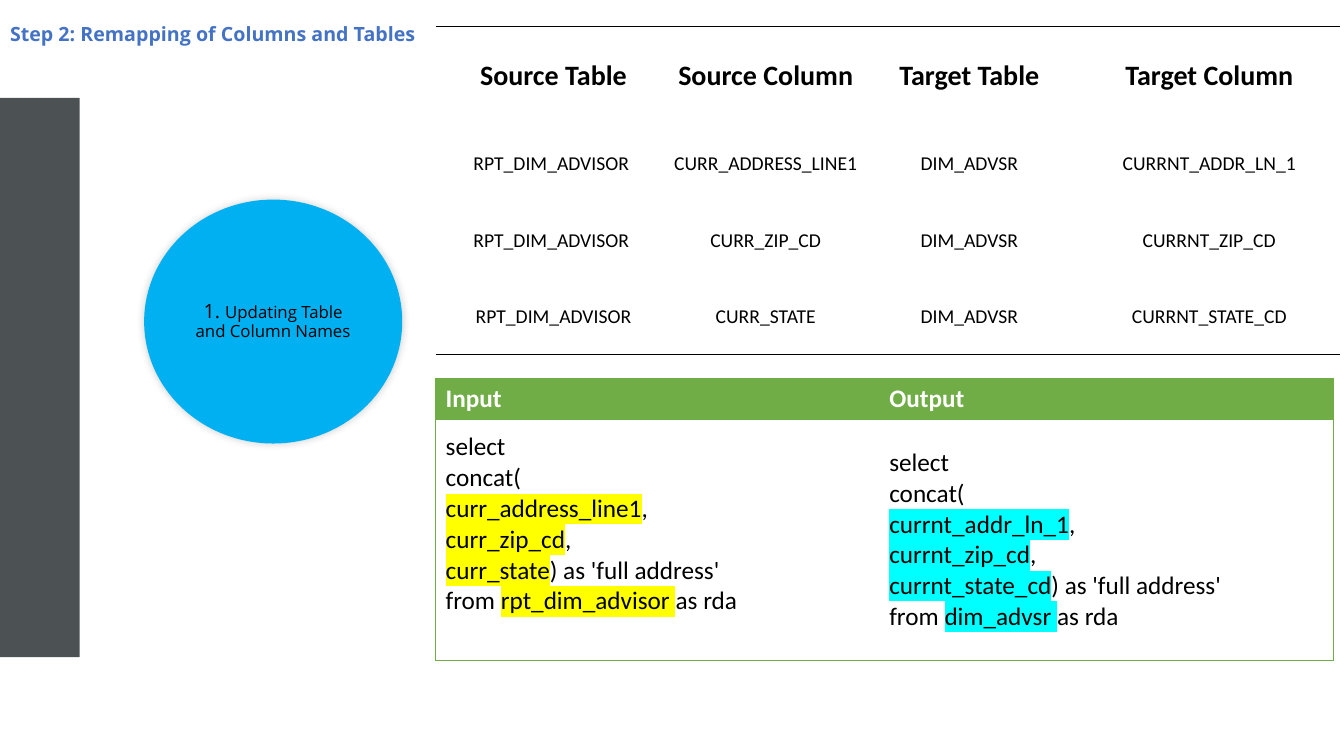
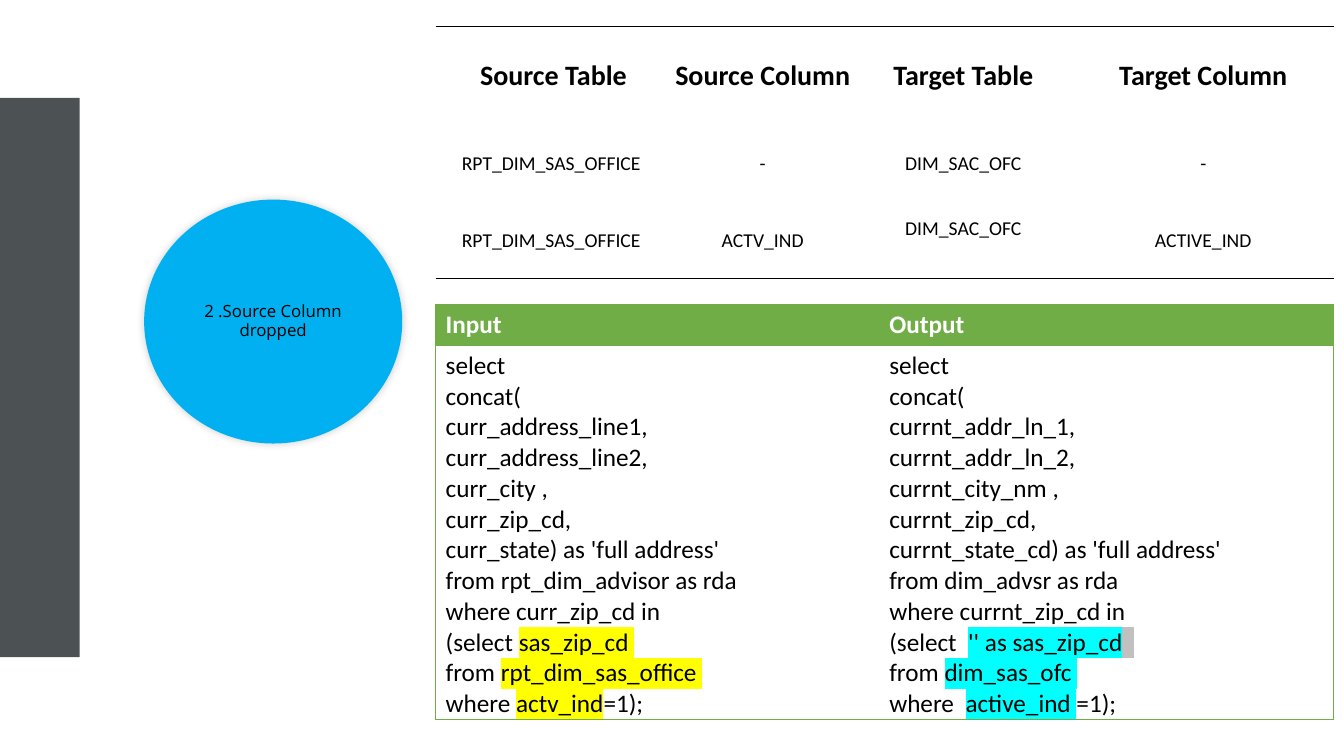
from dataclasses import dataclass, field
from typing import Any, Optional, Union

from lxml.etree import SubElement
from pptx import Presentation
from pptx.dml.color import RGBColor
from pptx.enum.shapes import MSO_SHAPE
from pptx.enum.text import MSO_ANCHOR, MSO_AUTO_SIZE, PP_ALIGN
from pptx.oxml.ns import qn
from pptx.util import Emu, Pt

# Shared look
EMU_PER_PX = 9144  # 100 px to the inch
SLATE, SKY, GREEN, BLUE = "4C5254", "00B0F0", "70AD47", "4472C4"
BLACK, WHITE = "000000", "FFFFFF"
YELLOW, CYAN, SILVER = "FFFF00", "00FFFF", "C0C0C0"

TITLE_FONT = {"name": "Open Sans", "size": Pt(14), "bold": True}
STEP_FONT = {"name": "Open Sans", "size": Pt(12), "bold": False}
MAPPING_HEAD_FONT = {"name": "Calibri", "size": Pt(20), "bold": True}
MAPPING_FONT = {"name": "Calibri", "size": Pt(14), "bold": False}
QUERY_HEAD_FONT = {"name": "Calibri", "size": Pt(18), "bold": True}
QUERY_FONT = {"name": "Calibri", "size": Pt(18), "bold": False}

TABLE_LEFT = 432
MAPPING_TOP = 26
MAPPING_HEADERS = ["Source Table", "Source Column", "Target Table", "Target Column"]
MAPPING_HEAD_HEIGHT, MAPPING_ROW_HEIGHT = 98, 76
QUERY_COLUMNS = [440, 450]
QUERY_HEAD_HEIGHT = 40


@dataclass
class Span:
    text: str
    highlight: Optional[str] = None
    size: Optional[int] = None


Line = list[Union[str, Span]]


@dataclass
class Cell:
    lines: list[Line]
    bottom: int = 5


@dataclass
class Border:
    color: str
    width: float


@dataclass
class Page:
    step: Line
    mapping_columns: list[int]
    mapping: list[list[Union[str, Cell]]]
    query_top: int
    query_height: int
    queries: list[Cell] = field(default_factory=list)
    title: Optional[str] = None


def px(length: int) -> Emu:
    return Emu(length * EMU_PER_PX)


def rgb(color: str) -> RGBColor:
    return RGBColor.from_string(color)


def apply(target: Any, values: dict[str, Any]) -> None:
    for name, value in values.items():
        setattr(target, name, value)


# Text
def write_line(para: Any, line: Line, font: dict[str, Any], color: str) -> None:
    for item in line:
        span = item if isinstance(item, Span) else Span(item)
        run = para.add_run()
        run.text = span.text
        apply(run.font, font)
        run.font.color.rgb = rgb(color)
        if span.size:
            run.font.size = Pt(span.size)
        if span.highlight:
            properties = run.font._element
            highlight = SubElement(properties, qn("a:highlight"))
            SubElement(highlight, qn("a:srgbClr"), val=span.highlight)
            properties.find(qn("a:solidFill")).addnext(highlight)


def write_lines(frame: Any, lines: list[Line], font: dict[str, Any], color: str,
                align: PP_ALIGN) -> None:
    for index, line in enumerate(lines):
        para = frame.add_paragraph() if index else frame.paragraphs[0]
        para.alignment = align
        write_line(para, line, font, color)


# Shapes
def add_shape(slide: Any, kind: MSO_SHAPE, box: tuple[int, int, int, int],
              color: str) -> Any:
    shape = slide.shapes.add_shape(kind, *map(px, box))
    shape.shadow.inherit = False
    shape.fill.solid()
    shape.fill.fore_color.rgb = rgb(color)
    shape.line.fill.background()
    return shape


def add_step_circle(slide: Any, label: Line) -> None:
    circle = add_shape(slide, MSO_SHAPE.OVAL, (143, 198, 256, 242), SKY)
    effects = circle._element.spPr.find(qn("a:effectLst"))
    shadow = SubElement(effects, qn("a:outerShdw"), blurRad=str(Pt(6)), dist="0",
                        dir="13500000", rotWithShape="0")
    shade = SubElement(shadow, qn("a:srgbClr"), val=BLACK)
    SubElement(shade, qn("a:alpha"), val="20000")
    frame = circle.text_frame
    apply(frame, {"word_wrap": True, "vertical_anchor": MSO_ANCHOR.MIDDLE})
    write_lines(frame, [label], STEP_FONT, BLACK, PP_ALIGN.CENTER)
    apply(frame.paragraphs[0], {"line_spacing": 0.9, "space_after": Pt(4.7)})


# Tables
def add_table(slide: Any, top: int, columns: list[int], rows: list[int]) -> Any:
    frame = slide.shapes.add_table(len(rows), len(columns), px(TABLE_LEFT), px(top),
                                   px(sum(columns)), px(sum(rows)))
    table = frame.table
    apply(table, {"first_row": False, "horz_banding": False})
    for column, width in zip(table.columns, columns):
        column.width = px(width)
    for row, height in zip(table.rows, rows):
        row.height = px(height)
    return table


def format_cell(cell: Any, borders: dict[str, Border], margins: dict[str, int],
                fill: Optional[str] = None) -> None:
    cell.vertical_anchor = MSO_ANCHOR.MIDDLE
    apply(cell, {f"margin_{side}": px(size) for side, size in margins.items()})
    properties = cell._tc.get_or_add_tcPr()
    for side in "LRTB":
        border = borders.get(side)
        line = SubElement(properties, qn(f"a:ln{side}"))
        if border:
            line.set("w", str(Pt(border.width)))
            paint = SubElement(line, qn("a:solidFill"))
            SubElement(paint, qn("a:srgbClr"), val=border.color)
        else:
            SubElement(line, qn("a:noFill"))
    if fill:
        cell.fill.solid()
        cell.fill.fore_color.rgb = rgb(fill)
    else:
        cell.fill.background()


def add_mapping_table(slide: Any, page: Page) -> None:
    rows = [MAPPING_HEADERS, *page.mapping]
    heights = [MAPPING_HEAD_HEIGHT] + [MAPPING_ROW_HEIGHT] * len(page.mapping)
    table = add_table(slide, MAPPING_TOP, page.mapping_columns, heights)
    rule = Border(BLACK, 1)
    for row_index, row in enumerate(rows):
        borders = {}
        if row_index == 0:
            borders["T"] = rule
        if row_index == len(rows) - 1:
            borders["B"] = rule
        font = MAPPING_FONT if row_index else MAPPING_HEAD_FONT
        for column_index, value in enumerate(row):
            content = value if isinstance(value, Cell) else Cell([[value]], bottom=0)
            cell = table.cell(row_index, column_index)
            margins = {"left": 1, "top": 1, "right": 1, "bottom": content.bottom}
            format_cell(cell, borders, margins)
            write_lines(cell.text_frame, content.lines, font, BLACK, PP_ALIGN.CENTER)


def add_query_table(slide: Any, page: Page) -> None:
    table = add_table(slide, page.query_top, QUERY_COLUMNS,
                      [QUERY_HEAD_HEIGHT, page.query_height])
    edge = Border(GREEN, 0.5)
    headers = ["Input", "Output"]
    for column, (header, query, side) in enumerate(zip(headers, page.queries, "LR")):
        borders = {side: edge, "T": edge, "B": edge}
        head, body = table.cell(0, column), table.cell(1, column)
        format_cell(head, borders, {}, GREEN)
        write_lines(head.text_frame, [[header]], QUERY_HEAD_FONT, WHITE, PP_ALIGN.LEFT)
        format_cell(body, borders, {"bottom": query.bottom})
        write_lines(body.text_frame, query.lines, QUERY_FONT, BLACK, PP_ALIGN.LEFT)


# Pages
def format_title(title: Any, text: str) -> None:
    apply(title, {"left": px(0), "top": px(17), "width": px(458), "height": px(34)})
    frame = title.text_frame
    apply(frame, {"word_wrap": True, "auto_size": MSO_AUTO_SIZE.NONE,
                  "vertical_anchor": MSO_ANCHOR.TOP})
    write_lines(frame, [[text]], TITLE_FONT, BLUE, PP_ALIGN.LEFT)


def add_page(deck: Any, page: Page) -> None:
    layout_name = "Title Only" if page.title else "Blank"
    slide = deck.slides.add_slide(deck.slide_layouts.get_by_name(layout_name))
    if page.title:
        format_title(slide.shapes.title, page.title)
    add_shape(slide, MSO_SHAPE.RECTANGLE, (0, 97, 79, 555), SLATE)
    add_step_circle(slide, page.step)
    add_query_table(slide, page)
    add_mapping_table(slide, page)


PAGES = [
    Page(
        title="Step 2: Remapping of Columns and Tables",
        step=[Span("1. ", size=14), "Updating Table and Column Names"],
        mapping_columns=[234, 187, 217, 259],
        mapping=[
            ["RPT_DIM_ADVISOR ", "CURR_ADDRESS_LINE1", "DIM_ADVSR", "CURRNT_ADDR_LN_1"],
            ["RPT_DIM_ADVISOR ", "CURR_ZIP_CD", "DIM_ADVSR", "CURRNT_ZIP_CD"],
            ["RPT_DIM_ADVISOR", "CURR_STATE", "DIM_ADVSR", "CURRNT_STATE_CD"],
        ],
        query_top=375,
        query_height=240,
        queries=[
            Cell([
                ["select"],
                ["concat("],
                [Span("curr_address_line1", YELLOW), ","],
                [Span("curr_zip_cd", YELLOW), ","],
                [Span("curr_state", YELLOW), ") as 'full address'"],
                ["from ", Span("rpt_dim_advisor ", YELLOW), "as rda"],
            ], bottom=36),
            Cell([
                ["select"],
                ["concat("],
                [Span("currnt_addr_ln_1", CYAN), ","],
                [Span("currnt_zip_cd", CYAN), ","],
                [Span("currnt_state_cd", CYAN), ") as 'full address'"],
                ["from ", Span("dim_advsr ", CYAN), "as rda"],
            ]),
        ],
    ),
    Page(
        step=["2 .Source Column dropped"],
        mapping_columns=[234, 181, 217, 259],
        mapping=[
            ["RPT_DIM_SAS_OFFICE ", "-", "DIM_SAC_OFC", "-"],
            ["RPT_DIM_SAS_OFFICE ", "ACTV_IND", Cell([["DIM_SAC_OFC"]], bottom=24),
             "ACTIVE_IND"],
        ],
        query_top=302,
        query_height=367,
        queries=[
            Cell([
                ["select"],
                ["concat("],
                ["curr_address_line1,"],
                ["curr_address_line2,"],
                ["curr_city ,"],
                ["curr_zip_cd,"],
                ["curr_state) as 'full address'"],
                ["from rpt_dim_advisor as rda"],
                ["where curr_zip_cd in"],
                ["(select ", Span("sas_zip_cd ", YELLOW)],
                ["from ", Span("rpt_dim_sas_office ", YELLOW)],
                ["where ", Span("actv_ind", YELLOW), "=1);"],
            ], bottom=0),
            Cell([
                ["select"],
                ["concat("],
                ["currnt_addr_ln_1,"],
                ["currnt_addr_ln_2,"],
                ["currnt_city_nm ,"],
                ["currnt_zip_cd,"],
                ["currnt_state_cd) as 'full address'"],
                ["from dim_advsr as rda"],
                ["where currnt_zip_cd in"],
                ["(select  ", Span("'' as sas_zip_cd", CYAN), Span("  ", SILVER)],
                ["from ", Span("dim_sas_ofc ", CYAN)],
                ["where  ", Span("active_ind ", CYAN), "=1);"],
            ], bottom=0),
        ],
    ),
]


def main() -> None:
    deck = Presentation()
    apply(deck, {"slide_width": px(1333), "slide_height": px(750)})
    for page in PAGES:
        add_page(deck, page)
    deck.save("out.pptx")


if __name__ == "__main__":
    main()
